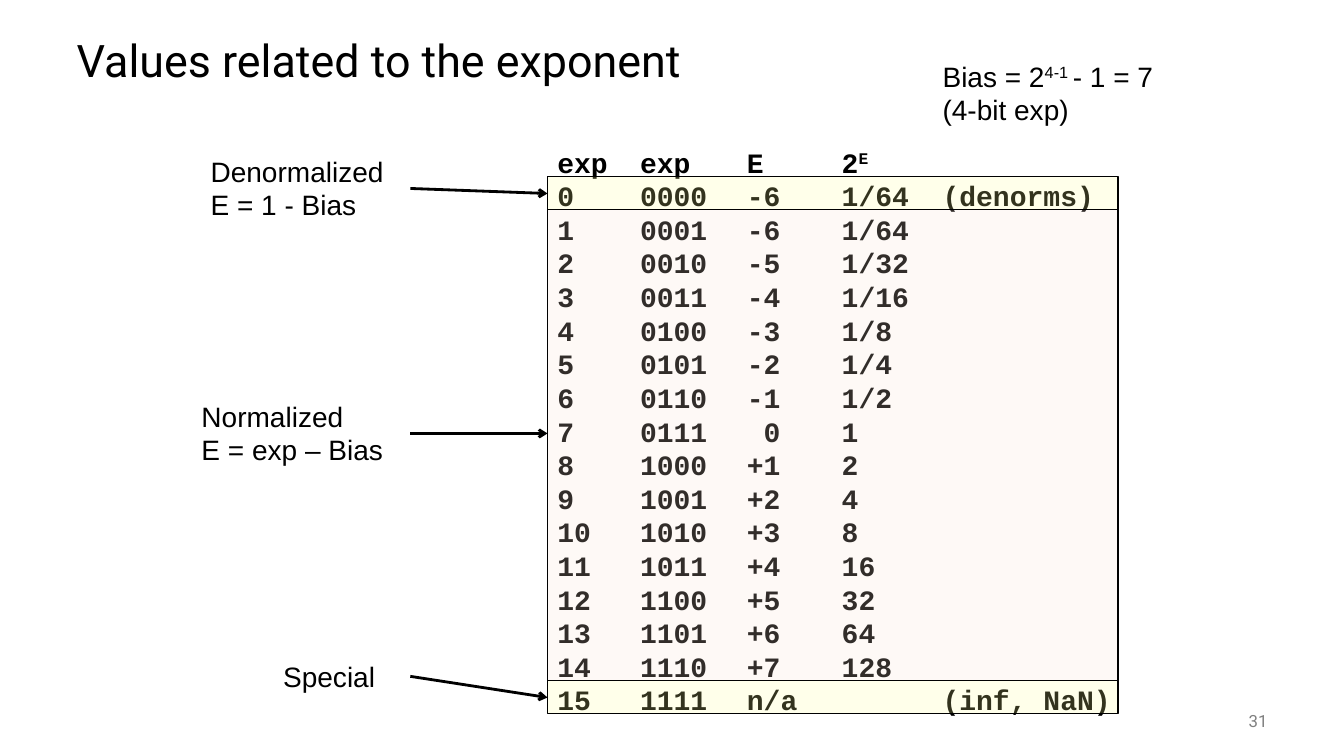
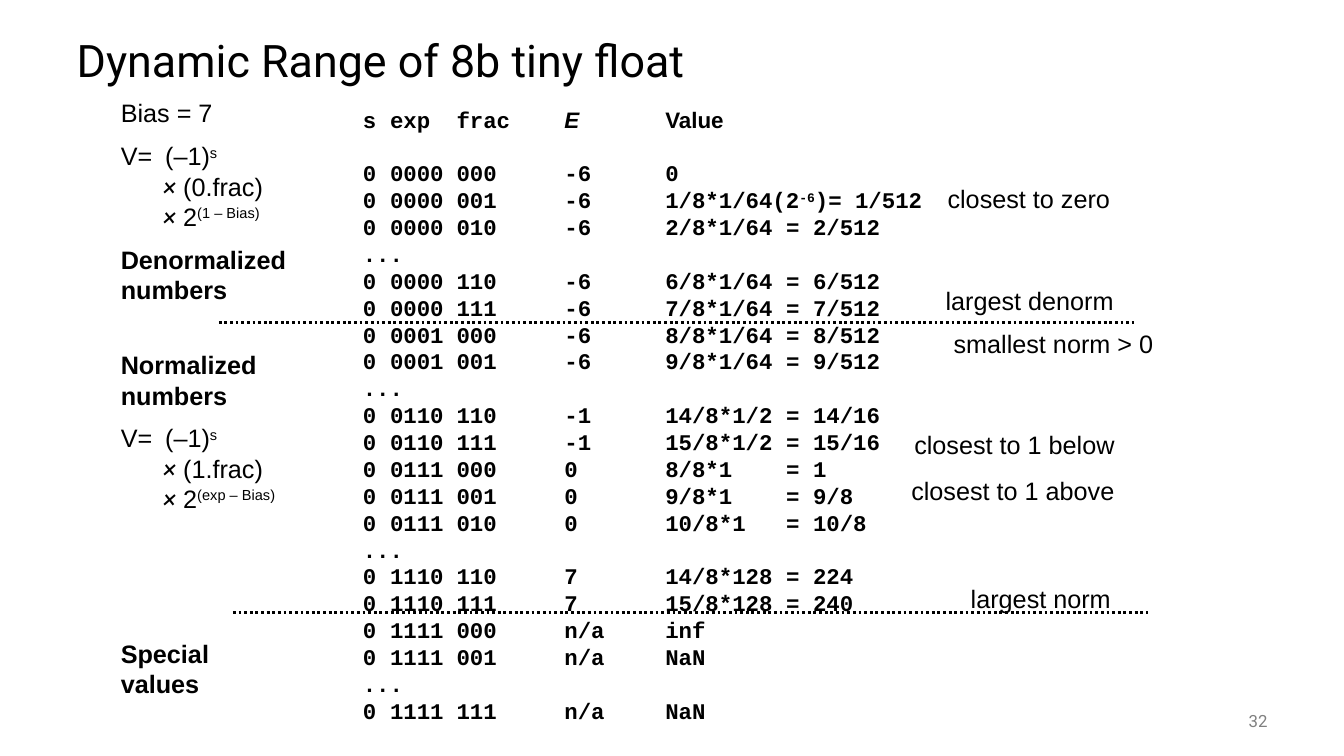
from dataclasses import dataclass

from lxml import etree
from pptx import Presentation
from pptx.dml.color import RGBColor
from pptx.enum.dml import MSO_LINE
from pptx.enum.shapes import MSO_CONNECTOR, MSO_SHAPE
from pptx.enum.text import MSO_ANCHOR, MSO_AUTO_SIZE, PP_ALIGN
from pptx.oxml.ns import qn
from pptx.util import Emu, Pt

RECT = MSO_SHAPE.RECTANGLE
STRAIGHT = MSO_CONNECTOR.STRAIGHT
DOTTED = MSO_LINE.ROUND_DOT
MIDDLE = MSO_ANCHOR.MIDDLE
LEFT, RIGHT = PP_ALIGN.LEFT, PP_ALIGN.RIGHT
NO_AUTOFIT = MSO_AUTO_SIZE.NONE

BLACK = RGBColor(0x00, 0x00, 0x00)
GRAY = RGBColor(0x80, 0x80, 0x80)
PEACH = RGBColor(0xFB, 0xE5, 0xD6)
YELLOW = RGBColor(0xFF, 0xFF, 0x99)

SANS, MONO, ROBOTO = "Arial", "Courier New", "Roboto"
EMU_PER_PX = 9144
TITLE_ONLY = 5


@dataclass(frozen=True)
class Run:
    text: str
    raised: bool = False
    font: str | None = None
    italic: bool | None = None


@dataclass(frozen=True)
class Para:
    runs: tuple[Run, ...]
    gap: float = 0
    indent: int = 0
    bold: bool = False


@dataclass(frozen=True)
class Style:
    size: int
    font: str = SANS
    color: RGBColor = BLACK
    pitch: float | None = None
    tabs: tuple[int, ...] = ()
    align: PP_ALIGN = LEFT


@dataclass(frozen=True)
class Box:
    x: int
    y: int
    w: int
    h: int


@dataclass(frozen=True)
class Segment:
    x1: int
    y1: int
    x2: int
    y2: int


@dataclass(frozen=True)
class Label:
    box: Box
    paras: tuple[Para, ...]


NOTE = Style(20)
EXPONENTS = Style(20, MONO, pitch=24, tabs=(82, 188, 282, 382))
REMARK = Style(18)
FORMULA = Style(18, pitch=21.6, tabs=(44,))
FLOATS = Style(16, MONO, pitch=19.2, tabs=(27, 93, 200, 300, 420))
PAGE = Style(12, ROBOTO, GRAY)
PAGE_RIGHT = Style(12, ROBOTO, GRAY, align=RIGHT)
GAP = 9


def px(n: int) -> Emu:
    return Emu(n * EMU_PER_PX)


def place(sp, box: Box) -> None:
    sp.left, sp.top, sp.width, sp.height = px(box.x), px(box.y), px(box.w), px(box.h)


def para(text: str, gap: float = 0, bold: bool = False) -> Para:
    return Para((Run(text),), gap, bold=bold)


def paras(*texts: str, gap: float = 0, bold: bool = False) -> tuple[Para, ...]:
    return tuple(para(t, 0 if i else gap, bold) for i, t in enumerate(texts))


def formula(fraction: str, power: str) -> tuple[Para, ...]:
    times = Run("×", font=ROBOTO, italic=True)
    return (
        Para((Run("V=\t(–1)"), Run("s", raised=True)), GAP),
        Para((times, Run(f" ({fraction})")), indent=42),
        Para((times, Run(" 2"), Run(f"({power})", raised=True)), indent=42),
    )


def add_tabs(p, stops: tuple[int, ...]) -> None:
    tabs = etree.SubElement(p._p.get_or_add_pPr(), qn("a:tabLst"))
    for stop in stops:
        etree.SubElement(tabs, qn("a:tab"), pos=str(px(stop)), algn="l")


def write(p, item: Para, style: Style) -> None:
    p.alignment = style.align
    p.space_before = Pt(item.gap)
    if style.pitch:
        p.line_spacing = Pt(style.pitch)
    if item.indent:
        p._p.get_or_add_pPr().set("marL", str(px(item.indent)))
    if style.tabs:
        add_tabs(p, style.tabs)
    p.font.size, p.font.name = Pt(style.size), style.font
    p.font.bold = item.bold
    p.font.color.rgb = style.color
    for run in item.runs:
        r = p.add_run()
        r.text = run.text
        if run.font:
            r.font.name = run.font
        if run.italic:
            r.font.italic = True
        if run.raised:
            r._r.get_or_add_rPr().set("baseline", "30000")


def add_text(s, box: Box, items: tuple[Para, ...], style: Style):
    sp = s.shapes.add_textbox(px(box.x), px(box.y), px(box.w), px(box.h))
    tf = sp.text_frame
    tf.word_wrap = True
    for i, item in enumerate(items):
        write(tf.add_paragraph() if i else tf.paragraphs[0], item, style)
    return sp


def add_band(s, box: Box, color: RGBColor) -> None:
    sp = s.shapes.add_shape(RECT, px(box.x), px(box.y), px(box.w), px(box.h))
    sp.shadow.inherit = False
    sp.fill.solid()
    sp.fill.fore_color.rgb = color
    rgb = sp._element.spPr.find(f"{qn('a:solidFill')}/{qn('a:srgbClr')}")
    etree.SubElement(rgb, qn("a:alpha"), val="20000")
    sp.line.color.rgb = BLACK
    sp.line.width = Pt(1)


def add_line(s, seg: Segment, arrow: bool = False) -> None:
    c = s.shapes.add_connector(STRAIGHT, px(seg.x1), px(seg.y1), px(seg.x2), px(seg.y2))
    c.line.color.rgb = BLACK
    c.line.width = Pt(2)
    if arrow:
        etree.SubElement(c.line._get_or_add_ln(), qn("a:tailEnd"), type="arrow")
    else:
        c.line.dash_style = DOTTED
    etree.SubElement(c._element.spPr, qn("a:effectLst"))


def add_slide(prs, title: str, number: int):
    s = prs.slides.add_slide(prs.slide_layouts[TITLE_ONLY])
    sp = s.shapes.title
    place(sp, Box(66, 25, 1200, 75))
    tf = sp.text_frame
    tf.auto_size = NO_AUTOFIT
    tf.vertical_anchor = MIDDLE
    p = tf.paragraphs[0]
    write(p, para(title), Style(32, ROBOTO))
    p.line_spacing = 0.9
    page = add_text(s, Box(1167, 695, 100, 40), paras(str(number)), PAGE_RIGHT)
    page.text_frame.vertical_anchor = MIDDLE
    return s


def exponent_rows() -> tuple[Para, ...]:
    scales = ("1/64", "1/64", "1/32", "1/16", "1/8", "1/4", "1/2",
              "1", "2", "4", "8", "16", "32", "64", "128")
    rows = [Para((Run("exp\texp\tE\t2"), Run("E", raised=True)), bold=True)]
    for exp, scale in enumerate(scales):
        e = max(exp, 1) - 7
        power = f"{e:+d}" if e else " 0"
        tail = "" if exp else "\t(denorms)"
        rows.append(para(f"{exp}\t{exp:04b}\t{power}\t{scale}{tail}", bold=True))
    rows.append(para("15\t1111\tn/a\t\t(inf, NaN)", bold=True))
    return tuple(rows)


def float_rows() -> tuple[Para, ...]:
    header = Para((Run("s\texp\tfrac\t"), Run("E", font=SANS, italic=True),
                   Run("\tValue", font=SANS)), bold=True)
    first = para("0\t0000\t000\t-6\t0", gap=FLOATS.pitch, bold=True)
    smallest = Para((Run("0\t0000\t001\t-6\t1/8*1/64(2"), Run("-6", raised=True),
                     Run(")= 1/512")), bold=True)
    rest = paras(
        "0\t0000\t010\t-6\t2/8*1/64\t= 2/512",
        "...",
        "0\t0000\t110\t-6\t6/8*1/64\t= 6/512",
        "0\t0000\t111\t-6\t7/8*1/64\t= 7/512",
        "0\t0001\t000\t-6\t8/8*1/64\t= 8/512",
        "0\t0001\t001\t-6\t9/8*1/64\t= 9/512",
        "...",
        "0\t0110\t110\t-1\t14/8*1/2\t= 14/16",
        "0\t0110\t111\t-1\t15/8*1/2\t= 15/16",
        "0\t0111\t000\t0\t8/8*1\t= 1",
        "0\t0111\t001\t0\t9/8*1\t= 9/8",
        "0\t0111\t010\t0\t10/8*1\t= 10/8",
        "...",
        "0\t1110\t110\t7\t14/8*128\t= 224",
        "0\t1110\t111\t7\t15/8*128\t= 240",
        "0\t1111\t000\tn/a\tinf",
        "0\t1111\t001\tn/a\tNaN",
        "...",
        "0\t1111\t111\tn/a\tNaN",
        bold=True,
    )
    return (header, first, smallest, *rest)


def exponent_slide(prs) -> None:
    s = add_slide(prs, "Values related to the exponent", 31)
    add_text(s, Box(543, 139, 600, 582), exponent_rows(), EXPONENTS)
    for y, h, color in ((208, 467, PEACH), (175, 33, YELLOW), (675, 33, YELLOW)):
        add_band(s, Box(543, y, 566, h), color)
    bias = (Para((Run("Bias = 2"), Run("4-1 ", raised=True), Run("- 1 = 7"))),
            para("(4-bit exp)"))
    labels = (
        Label(Box(199, 148, 208, 77), paras("Denormalized", "E = 1 - Bias")),
        Label(Box(190, 391, 217, 77), paras("Normalized", "E = exp – Bias")),
        Label(Box(271, 649, 136, 44), paras("Special")),
        Label(Box(925, 54, 242, 77), bias),
    )
    for label in labels:
        add_text(s, label.box, label.paras, NOTE)
    for start, end in ((187, 192), (430, 430), (671, 692)):
        add_line(s, Segment(407, start, 543, end), arrow=True)


def range_slide(prs) -> None:
    s = add_slide(prs, "Dynamic Range of 8b tiny float", 32)
    remarks = (
        (930, 177, "closest to zero"),
        (928, 278, "largest denorm"),
        (936, 321, "smallest norm > 0"),
        (897, 421, "closest to 1 below"),
        (894, 467, "closest to 1 above"),
        (953, 574, "largest norm"),
    )
    for x, y, text in remarks:
        add_text(s, Box(x, y, 240, 40), paras(text), REMARK)
    for x, y in ((217, 320), (231, 608)):
        add_line(s, Segment(x, y, x + 908, y))
    groups = (
        Label(Box(110, 92, 240, 222),
              (para("Bias = 7"), *formula("0.frac", "1 – Bias"),
               *paras("Denormalized", "numbers", gap=GAP, bold=True))),
        Label(Box(110, 342, 240, 177),
              (*paras("Normalized", "numbers", bold=True),
               *formula("1.frac", "exp – Bias"))),
        Label(Box(110, 628, 240, 71), paras("Special", "values", bold=True)),
    )
    for group in groups:
        add_text(s, group.box, group.paras, FORMULA)
    add_text(s, Box(350, 100, 600, 629), float_rows(), FLOATS)


def main() -> None:
    prs = Presentation()
    prs.slide_width, prs.slide_height = px(1333), px(750)
    exponent_slide(prs)
    range_slide(prs)
    prs.save("out.pptx")


if __name__ == "__main__":
    main()
